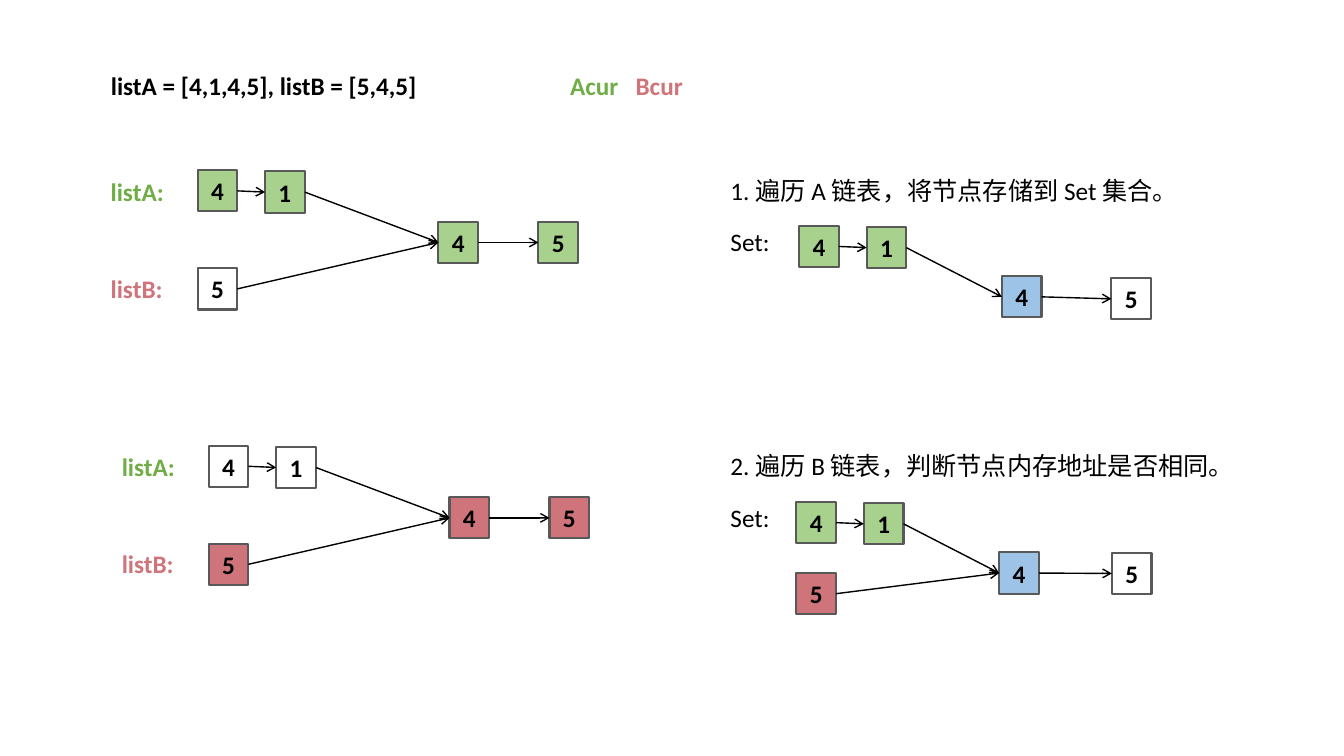
from dataclasses import dataclass

from lxml import etree
from pptx import Presentation
from pptx import util as u
from pptx.dml.color import RGBColor
from pptx.enum import shapes, text
from pptx.oxml.ns import qn

BLACK, WHITE, EDGE = "000000", "FFFFFF", "595959"
GREEN, RED, BLUE = "A9D18E", "CF747A", "9DC3E6"
GREEN_TEXT = "70AD47"
NODE_WIDTH, NODE_HEIGHT, LINE_HEIGHT = 1.0, 1.04, 1.02
TEXT_LEFT = 18.16


@dataclass
class Span:
    words: str
    color: str = BLACK
    bold: bool = True
    font: str = "Calibri"


@dataclass
class Node:
    """A list node, placed relative to the top left node of its diagram."""
    value: str
    x: float
    y: float
    fill: str


@dataclass
class Diagram:
    """Nodes run A1, A2, shared 4, shared 5 and, if present, B1."""
    left: float
    top: float
    nodes: list[Node]


@dataclass
class Label:
    left: float
    top: float
    width: float
    spans: list[Span]


def rgb(value: str) -> RGBColor:
    return RGBColor.from_string(value)


def add_spans(para, spans: list[Span]) -> None:
    for item in spans:
        span = para.add_run()
        span.text = item.words
        span.font.size = u.Pt(18)
        span.font.name = item.font
        span.font.bold = item.bold
        span.font.color.rgb = rgb(item.color)


def add_label(page, label: Label):
    box = page.shapes.add_textbox(u.Cm(label.left), u.Cm(label.top),
                                  u.Cm(label.width), u.Cm(LINE_HEIGHT))
    box.text_frame.word_wrap = True
    para = box.text_frame.paragraphs[0]
    add_spans(para, label.spans)
    return para


def add_tab_stop(para, position: float) -> None:
    props = para._p.get_or_add_pPr()
    stops = etree.SubElement(props, qn("a:tabLst"))
    etree.SubElement(stops, qn("a:tab"), pos=str(u.Cm(position)), algn="l")


def add_node(page, left: float, top: float, node: Node):
    box = page.shapes.add_shape(shapes.MSO_SHAPE.RECTANGLE,
                                u.Cm(left + node.x), u.Cm(top + node.y),
                                u.Cm(NODE_WIDTH), u.Cm(NODE_HEIGHT))
    box.shadow.inherit = False
    box.fill.solid()
    box.fill.fore_color.rgb = rgb(node.fill)
    box.line.color.rgb = rgb(EDGE)
    box.line.width = u.Pt(1.5)
    box.text_frame.vertical_anchor = text.MSO_ANCHOR.MIDDLE
    para = box.text_frame.paragraphs[0]
    para.alignment = text.PP_ALIGN.CENTER
    add_spans(para, [Span(node.value)])
    return box


def add_arrow(page, source, target) -> None:
    """Link the right side of one node to the left side of the next."""
    arrow = page.shapes.add_connector(shapes.MSO_CONNECTOR.STRAIGHT, 0, 0, 0, 0)
    arrow.begin_connect(source, 3)
    arrow.end_connect(target, 1)
    arrow.line.color.rgb = rgb(BLACK)
    arrow.line.width = u.Pt(1)
    etree.SubElement(arrow.line._get_or_add_ln(), qn("a:tailEnd"), type="arrow")
    etree.SubElement(arrow._element.spPr, qn("a:effectLst"))


def add_diagram(page, diagram: Diagram) -> None:
    boxes = [add_node(page, diagram.left, diagram.top, node) for node in diagram.nodes]
    for source, target in zip(boxes[:3], boxes[1:4]):
        add_arrow(page, source, target)
    for list_b_head in boxes[4:]:
        add_arrow(page, list_b_head, boxes[2])


def list_pair(left: float, top: float, a: str, shared: str, b: str) -> Diagram:
    return Diagram(left, top, [Node("4", 0, 0, a), Node("1", 1.7, 0.03, a),
                               Node("4", 6.07, 1.3, shared), Node("5", 8.59, 1.3, shared),
                               Node("5", 0, 2.47, b)])


def set_chain(left: float, top: float, end_x: float, end_y: float) -> Diagram:
    return Diagram(left, top, [Node("4", 0, 0, GREEN), Node("1", 1.7, 0.03, GREEN),
                               Node("4", 5.11, 1.27, BLUE), Node("5", end_x, end_y, WHITE)])


def add_title(page, words: str) -> None:
    title = page.shapes.title
    title.left, title.top = u.Cm(2.54), u.Cm(1.65)
    title.width, title.height = u.Cm(16.94), u.Cm(LINE_HEIGHT)
    frame = title.text_frame
    frame.auto_size = text.MSO_AUTO_SIZE.NONE
    frame.vertical_anchor = text.MSO_ANCHOR.TOP
    frame.paragraphs[0].alignment = text.PP_ALIGN.LEFT
    add_spans(frame.paragraphs[0], [Span(words)])


def step_spans(number: str, rest: str) -> list[Span]:
    return [Span(f"{number}. 遍", bold=False), Span("历 ", bold=False, font="Roboto"),
            Span(rest, bold=False)]


def main() -> None:
    deck = Presentation()
    deck.slide_width, deck.slide_height = u.Cm(33.87), u.Cm(19.05)
    page = deck.slides.add_slide(deck.slide_layouts[5])

    add_title(page, "listA = [4,1,4,5], listB = [5,4,5]")
    cursors = add_label(page, Label(14.12, 1.65, 4.9,
                                    [Span("Acur\t", GREEN_TEXT), Span("Bcur", RED)]))
    add_tab_stop(cursors, 1.65)

    list_diagrams = [list_pair(4.98, 4.29, GREEN, GREEN, WHITE),
                     list_pair(5.26, 11.23, WHITE, RED, RED)]
    for diagram in list_diagrams:
        add_diagram(page, diagram)
        for name, color, drop in (("listA:", GREEN_TEXT, 0.03), ("listB:", RED, 2.47)):
            add_label(page, Label(diagram.left - 2.44, diagram.top + drop, 2.1,
                                  [Span(name, color)]))

    steps = [Label(TEXT_LEFT, 4.29, 13.0, step_spans("1", "A 链表，将节点存储到 Set 集合。")),
             Label(TEXT_LEFT, 11.23, 13.84, step_spans("2", "B 链表，判断节点内存地址是否相同。"))]
    for step in steps:
        add_label(page, step)
        add_label(page, Label(TEXT_LEFT, step.top + 1.3, 1.9, [Span("Set:", bold=False)]))

    compared = set_chain(20.07, 12.65, 7.95, 1.28)
    compared.nodes.append(Node("5", 0, 1.79, RED))
    for diagram in (set_chain(20.14, 5.69, 7.87, 1.32), compared):
        add_diagram(page, diagram)

    deck.save("out.pptx")


if __name__ == "__main__":
    main()
